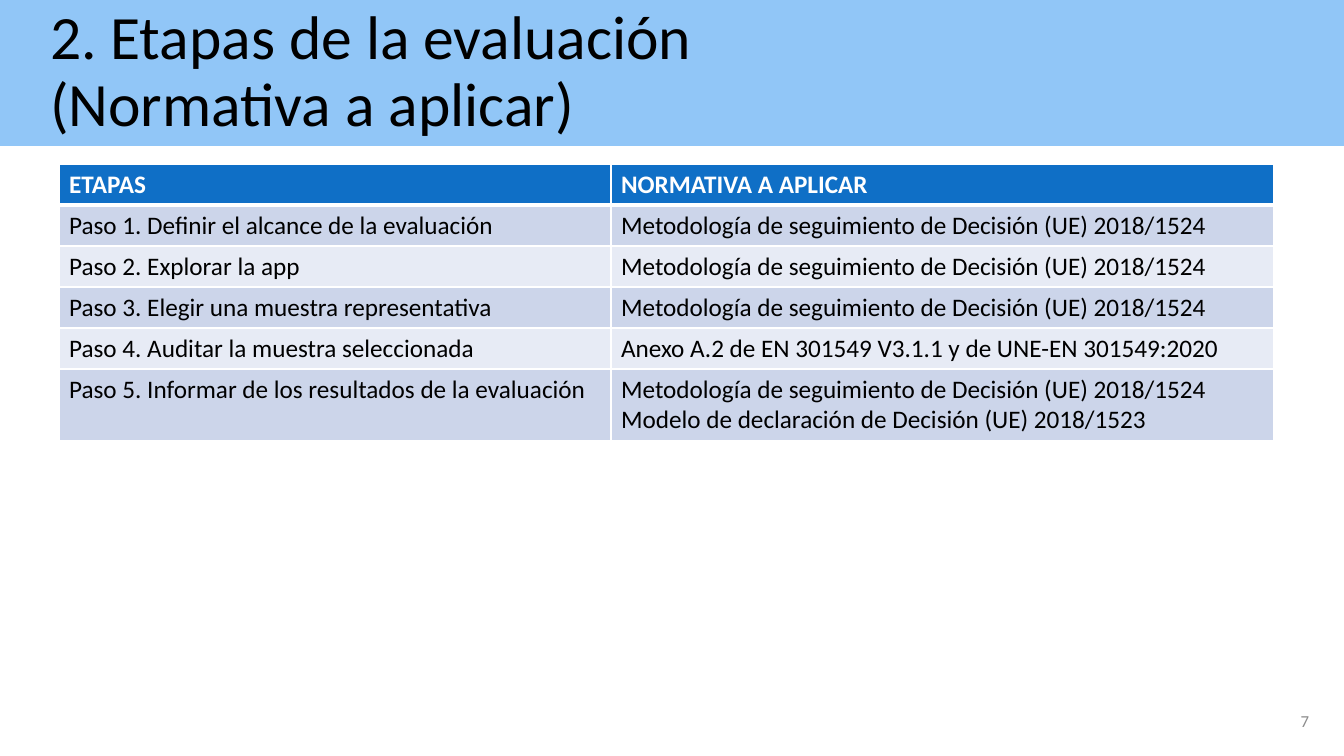
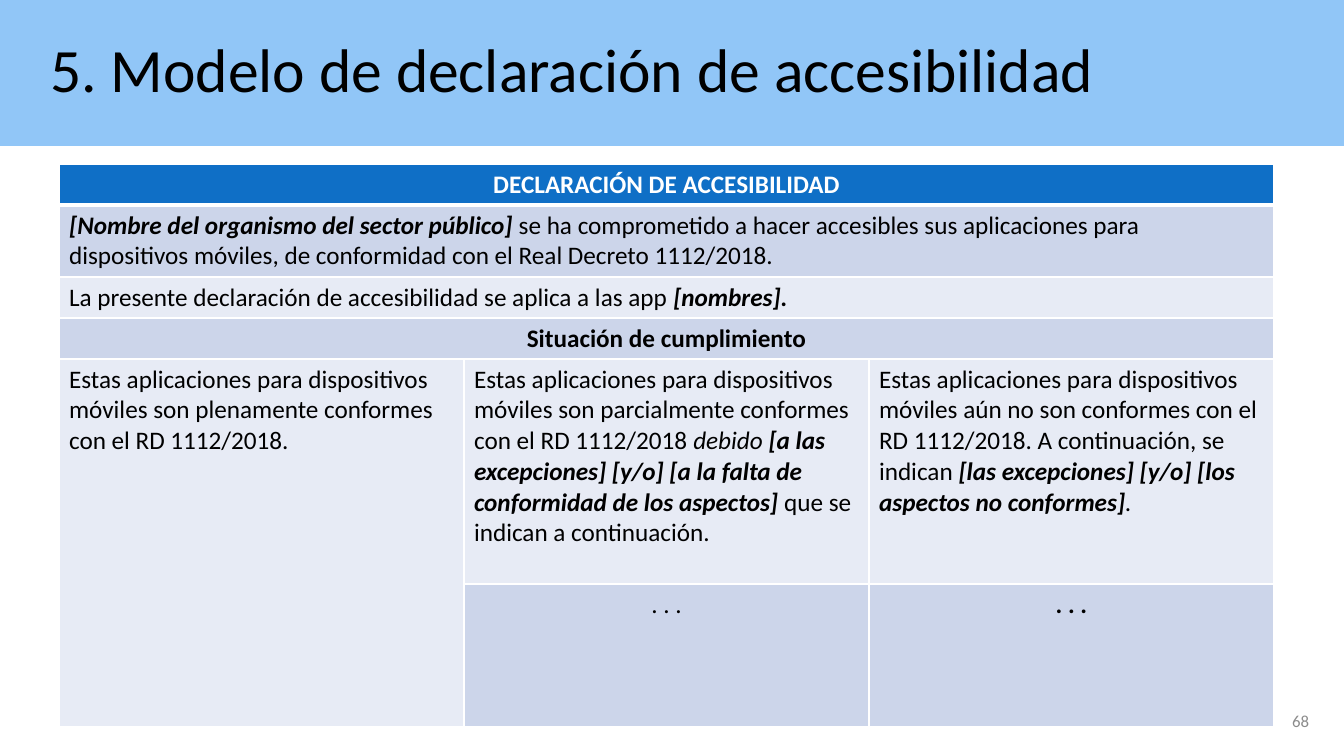
from lxml.etree import SubElement
from pptx import Presentation
from pptx.dml.color import RGBColor
from pptx.enum.text import MSO_ANCHOR, MSO_AUTO_SIZE, PP_ALIGN
from pptx.oxml.ns import qn
from pptx.util import Pt

PX = 914400 / 100.8
FONT = "Calibri"
COLORS = {
    "band": "91C6F7",
    "header": "0F6FC6",
    "odd_row": "CCD5EA",
    "even_row": "E7EBF5",
    "white": "FFFFFF",
    "black": "000000",
    "page_number": "8C8C8C",
}
METHODOLOGY = "Metodología de seguimiento de Decisión (UE) 2018/1524"
APPS = "Estas aplicaciones para dispositivos móviles "

# A cell is a string, one paragraph a line, or a list of (text, style) runs,
# where the style holds "b" for bold and "i" for italic.
SLIDES = [
    {
        "title": "2. Etapas de la evaluación\v(Normativa a aplicar)",
        "page": "7",
        "columns": [552, 663],
        "heights": [41, 41, 41, 41, 41, 71],
        "merges": [],
        "centred_rows": [],
        "rows": [
            [[("ETAPAS", "b")], [("NORMATIVA A APLICAR", "b")]],
            ["Paso 1. Definir el alcance de la evaluación", METHODOLOGY],
            ["Paso 2. Explorar la app", METHODOLOGY],
            ["Paso 3. Elegir una muestra representativa", METHODOLOGY],
            ["Paso 4. Auditar la muestra seleccionada",
             "Anexo A.2 de EN 301549 V3.1.1 y de UNE-EN 301549:2020"],
            ["Paso 5. Informar de los resultados de la evaluación",
             METHODOLOGY + "\nModelo de declaración de Decisión (UE) 2018/1523"],
        ],
    },
    {
        "title": "5. Modelo de declaración de accesibilidad",
        "page": "68",
        "columns": [405, 405, 405],
        "heights": [41, 72, 41, 41, 225, 143],
        "merges": [((row, 0), (row, 2)) for row in range(4)] + [((4, 0), (5, 0))],
        "centred_rows": [0, 3, 5],
        "rows": [
            [[("DECLARACIÓN DE ACCESIBILIDAD", "b")]],
            [[("[Nombre del organismo del sector público] ", "bi"),
              ("se ha comprometido a hacer accesibles sus aplicaciones para dispositivos "
               "móviles, de conformidad con el Real Decreto 1112/2018.", "")]],
            [[("La presente declaración de accesibilidad se aplica a las app ", ""),
              ("[nombres].", "bi")]],
            [[("Situación de cumplimiento", "b")]],
            [APPS + "son plenamente conformes con el RD 1112/2018.",
             [(APPS + "son parcialmente conformes con el RD 1112/2018 ", ""),
              ("debido", "i"),
              (" [a las excepciones] [y/o] [a la falta de conformidad de los aspectos] ", "bi"),
              ("que se indican a continuación.", "")],
             [(APPS + "aún no son conformes con el RD 1112/2018. "
               "A continuación, se indican ", ""),
              ("[las excepciones] [y/o] [los aspectos no conformes]", "bi"),
              (".", "i")]],
            ["", ". . .", [(". . .", "b")]],
        ],
    },
]


def px(length):
    return round(length * PX)


def set_font(paragraph, size, color):
    paragraph.font.name = FONT
    paragraph.font.size = Pt(size)
    paragraph.font.color.rgb = RGBColor.from_string(COLORS[color])


prs = Presentation()
prs.slide_width, prs.slide_height = px(1344), px(756)

for content in SLIDES:
    slide = prs.slides.add_slide(prs.slide_layouts[5])

    # Title band
    title = slide.shapes.title
    title.left, title.top, title.width, title.height = 0, 0, px(1344), px(146)
    title.fill.solid()
    title.fill.fore_color.rgb = RGBColor.from_string(COLORS["band"])
    frame = title.text_frame
    frame.text = content["title"]
    frame.word_wrap = True
    frame.auto_size = MSO_AUTO_SIZE.NONE
    frame.vertical_anchor = MSO_ANCHOR.MIDDLE
    frame.margin_left = px(50)
    heading = frame.paragraphs[0]
    heading.alignment = PP_ALIGN.LEFT
    heading.line_spacing = 0.9
    set_font(heading, 44, "black")

    # Table
    columns, heights = content["columns"], content["heights"]
    table = slide.shapes.add_table(
        len(heights), len(columns), px(59), px(164), px(sum(columns)), px(sum(heights))
    ).table
    for column, width in zip(table.columns, columns):
        column.width = px(width)
    for row, height in zip(table.rows, heights):
        row.height = px(height)
    for first, last in content["merges"]:
        table.cell(*first).merge(table.cell(*last))

    for r in range(len(heights)):
        fill = "header" if r == 0 else "odd_row" if r % 2 else "even_row"
        borders = {"a:lnL": 1, "a:lnR": 1, "a:lnT": 3 if r == 1 else 1, "a:lnB": 3 if r == 0 else 1}
        for c in range(len(columns)):
            cell = table.cell(r, c)
            cell.fill.solid()
            cell.fill.fore_color.rgb = RGBColor.from_string(COLORS[fill])
            properties = cell._tc.get_or_add_tcPr()
            for position, (side, points) in enumerate(borders.items()):
                border = SubElement(properties, qn(side), w=str(Pt(points)))
                line_fill = SubElement(border, qn("a:solidFill"))
                SubElement(line_fill, qn("a:srgbClr"), val=COLORS["white"])
                properties.insert(position, border)
            if cell.is_spanned:
                continue

            text = content["rows"][r][c]
            if isinstance(text, str):
                cell.text = text
            else:
                for words, style in text:
                    run = cell.text_frame.paragraphs[0].add_run()
                    run.text = words
                    run.font.bold = "b" in style
                    run.font.italic = "i" in style
            for paragraph in cell.text_frame.paragraphs:
                set_font(paragraph, 18, "white" if r == 0 else "black")
                if r in content["centred_rows"]:
                    paragraph.alignment = PP_ALIGN.CENTER

    # Page number
    footer = slide.shapes.add_textbox(px(1017), px(701), px(302), px(40)).text_frame
    footer.word_wrap = True
    footer.vertical_anchor = MSO_ANCHOR.MIDDLE
    footer.text = content["page"]
    footer.paragraphs[0].alignment = PP_ALIGN.RIGHT
    set_font(footer.paragraphs[0], 12, "page_number")

prs.save("out.pptx")
